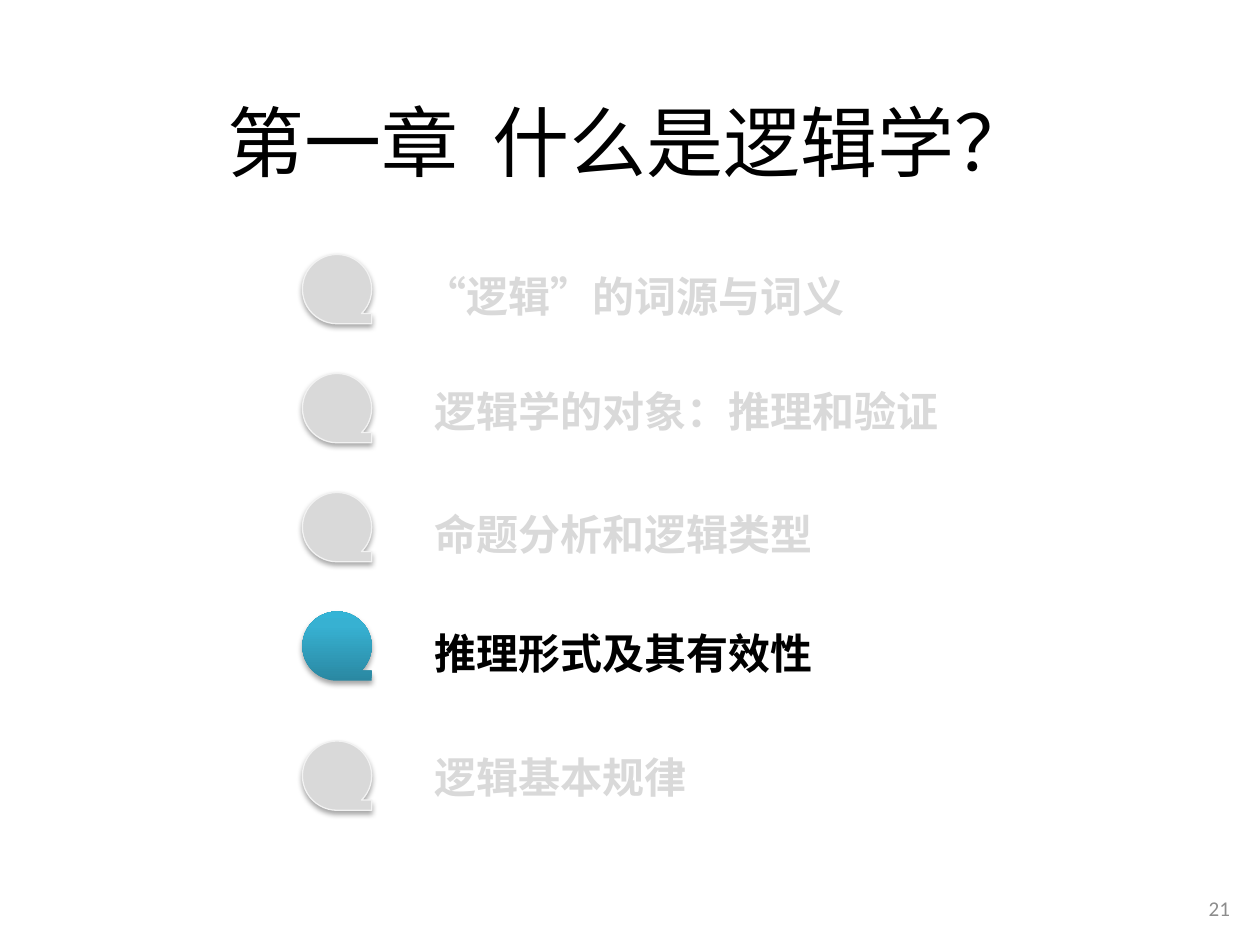
from copy import deepcopy

from lxml.etree import SubElement
from pptx import Presentation
from pptx.dml.color import RGBColor
from pptx.enum.shapes import MSO_SHAPE
from pptx.enum.text import MSO_ANCHOR, MSO_AUTO_SIZE, PP_ALIGN
from pptx.oxml.ns import qn
from pptx.util import Pt

CJK_FONT = "Noto Sans CJK JP"
MUTED, BLACK = "D9D9D9", "000000"
BULLET_LEFT, BULLET_SIZE = 172.8, 39.6
LABEL_WIDTH, LABEL_HEIGHT = 402.5, 36

# label, font, bullet top, label left, label top, is current section
SECTIONS = [
    ("“逻辑”的词源与词义", "Calibri", 145.4, 235.4, 151.2, False),
    ("逻辑学的对象：推理和验证", "Arial", 213.4, 241.2, 216.7, False),
    ("命题分析和逻辑类型", "Calibri", 281.4, 241.2, 287.3, False),
    ("推理形式及其有效性", "Arial", 349.4, 241.2, 355, True),
    ("逻辑基本规律", "Arial", 423.4, 241.2, 426.2, False),
]


def color(value):
    return RGBColor.from_string(value)


def add_span(para, text, size, font, fill, bold=False):
    span = para.add_run()
    span.text = text
    span.font.size = Pt(size)
    span.font.name = font
    span.font.bold = bold
    span.font.color.rgb = color(fill)
    SubElement(span.font._element, qn("a:ea"), typeface=CJK_FONT)


def add_text_box(page, box):
    frame = page.shapes.add_textbox(*map(Pt, box)).text_frame
    frame.word_wrap = True
    return frame


def add_title(page, box, text):
    title = page.shapes.title
    title.left, title.top, title.width, title.height = map(Pt, box)
    frame = title.text_frame
    frame.vertical_anchor = MSO_ANCHOR.MIDDLE
    para = frame.paragraphs[0]
    para.alignment = PP_ALIGN.CENTER
    para.line_spacing = 1.5
    add_span(para, text, 44, CJK_FONT, BLACK)


def add_shadow(shape):
    effects = SubElement(shape._element.spPr, qn("a:effectLst"))
    shadow = SubElement(effects, qn("a:outerShdw"), blurRad=str(Pt(3.1)),
                        dist=str(Pt(1.8)), dir="5400000", rotWithShape="0")
    tint = SubElement(shadow, qn("a:srgbClr"), val=BLACK)
    SubElement(tint, qn("a:alpha"), val="35000")


def fill_gradient(shape, stops, angle):
    fill = shape.fill
    fill.gradient()
    fill.gradient_angle = angle
    stop_list = shape._element.spPr.find(".//" + qn("a:gsLst"))
    while len(stop_list) < len(stops):
        stop_list.append(deepcopy(stop_list[-1]))
    for stop, (position, value) in zip(fill.gradient_stops, stops):
        stop.position = position
        stop.color.rgb = color(value)


def add_bullet(page, box, current):
    bullet = page.shapes.add_shape(
        MSO_SHAPE.FLOWCHART_SEQUENTIAL_ACCESS_STORAGE, *map(Pt, box))
    if current:
        fill_gradient(bullet, [(0, "2A88A2"), (0.8, "37B1D2"), (1, "34B4D6")], 90)
        bullet.line.fill.background()
    else:
        bullet.fill.solid()
        bullet.fill.fore_color.rgb = color(MUTED)
        bullet.line.color.rgb = color("F2F2F2")
        bullet.line.width = Pt(0.75)
    add_shadow(bullet)


def add_label(page, box, text, font, current):
    frame = add_text_box(page, box)
    frame.auto_size = MSO_AUTO_SIZE.SHAPE_TO_FIT_TEXT
    add_span(frame.paragraphs[0], text, 24, font, BLACK if current else MUTED, True)


def add_page_number(page, box, text):
    frame = add_text_box(page, box)
    frame.vertical_anchor = MSO_ANCHOR.MIDDLE
    para = frame.paragraphs[0]
    para.alignment = PP_ALIGN.RIGHT
    add_span(para, text, 12, "Calibri", "8C8C8C")


def main():
    deck = Presentation()
    deck.slide_width, deck.slide_height = Pt(720), Pt(540)
    page = deck.slides.add_slide(deck.slide_layouts[5])
    add_title(page, (36, 22.3, 648, 89.3), "第一章  什么是逻辑学？")
    for text, font, bullet_top, left, top, current in SECTIONS:
        add_bullet(page, (BULLET_LEFT, bullet_top, BULLET_SIZE, BULLET_SIZE), current)
        add_label(page, (left, top, LABEL_WIDTH, LABEL_HEIGHT), text, font, current)
    add_page_number(page, (681.1, 504.7, 28.8, 28.8), "21")
    deck.save("out.pptx")


if __name__ == "__main__":
    main()
